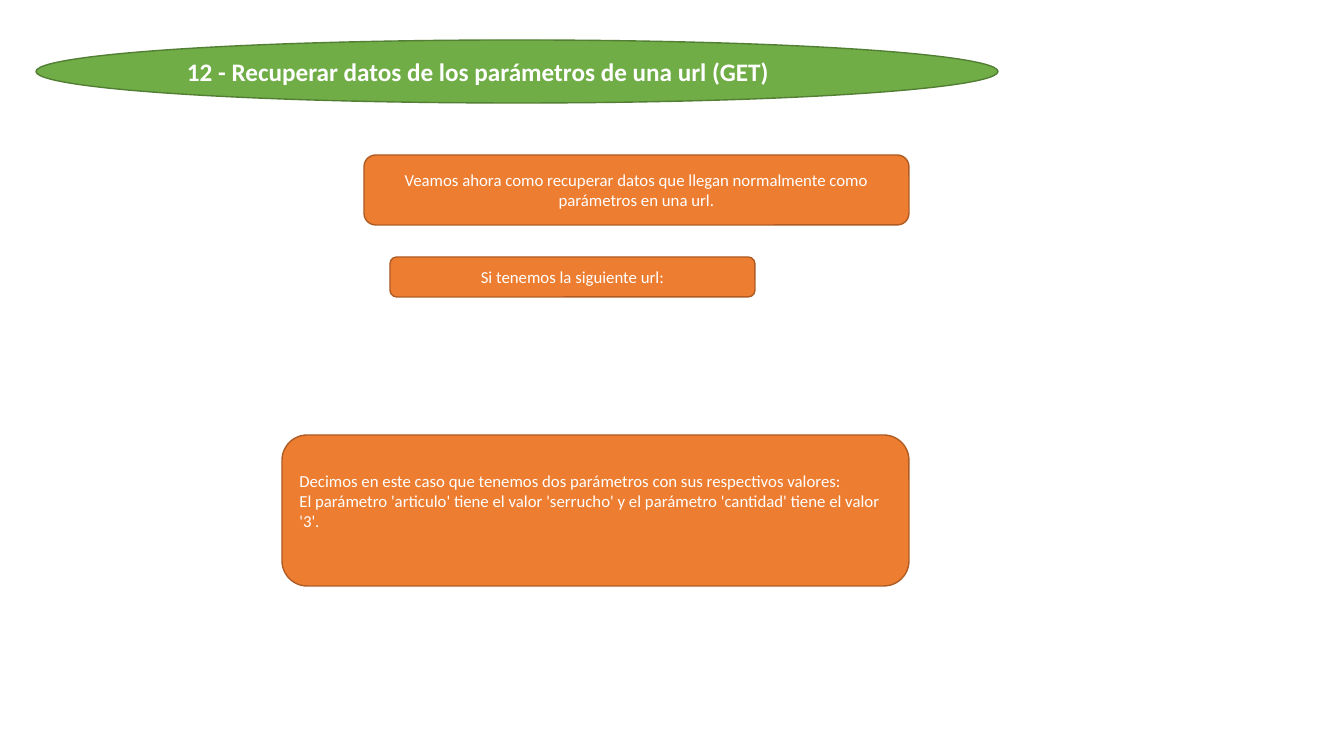
from pptx import Presentation
from pptx.dml.color import RGBColor
from pptx.enum.shapes import MSO_SHAPE
from pptx.enum.text import MSO_ANCHOR, MSO_AUTO_SIZE, PP_ALIGN
from pptx.util import Pt

OVAL, ROUNDED = MSO_SHAPE.OVAL, MSO_SHAPE.ROUNDED_RECTANGLE
MIDDLE, NO_FIT = MSO_ANCHOR.MIDDLE, MSO_AUTO_SIZE.NONE
LEFT, CENTER = PP_ALIGN.LEFT, PP_ALIGN.CENTER
EMU_PER_PX = 914400 / 100.8
TITLE_ONLY = 5

THEME = {
    "font": "Calibri",
    "text": RGBColor.from_string("FFFFFF"),
    "banner": (RGBColor.from_string("70AD47"), RGBColor.from_string("527F34")),
    "card": (RGBColor.from_string("ED7D31"), RGBColor.from_string("AF5C24")),
    "title_size": Pt(18),
    "body_size": Pt(12),
    "line_width": Pt(1),
}


def add_panel(slide, kind, box, colors):
    shape = slide.shapes.add_shape(kind, *[round(value * EMU_PER_PX) for value in box])
    shape.shadow.inherit = False
    shape.fill.solid()
    shape.fill.fore_color.rgb, shape.line.color.rgb = colors
    shape.line.width = THEME["line_width"]
    return shape


def write_text(shape, lines, size, bold, alignment, bottom_margin):
    frame = shape.text_frame
    frame.text = "\n".join(lines)
    frame_format = {
        "word_wrap": True,
        "auto_size": NO_FIT,
        "vertical_anchor": MIDDLE,
        "margin_left": round(10 * EMU_PER_PX),
        "margin_right": round(10 * EMU_PER_PX),
        "margin_top": round(5 * EMU_PER_PX),
        "margin_bottom": round(bottom_margin * EMU_PER_PX),
    }
    for name, value in frame_format.items():
        setattr(frame, name, value)
    for paragraph in frame.paragraphs:
        paragraph.alignment = alignment
        for name, value in {"name": THEME["font"], "size": size, "bold": bold}.items():
            setattr(paragraph.font, name, value)
        paragraph.font.color.rgb = THEME["text"]


presentation = Presentation()
presentation.slide_width = round(1344 * EMU_PER_PX)
presentation.slide_height = round(756 * EMU_PER_PX)
slide = presentation.slides.add_slide(presentation.slide_layouts[TITLE_ONLY])

add_panel(slide, OVAL, (36, 40, 962, 63), THEME["banner"])

title = slide.shapes.title
for name, value in {"left": 177, "top": 49, "width": 680, "height": 45}.items():
    setattr(title, name, round(value * EMU_PER_PX))
write_text(title, ["12 - Recuperar datos de los parámetros de una url (GET)"],
           THEME["title_size"], True, LEFT, 5)
slide.shapes._spTree.append(title._element)

CARDS = [
    ((364, 155, 545, 70), CENTER, 5,
     ["Veamos ahora como recuperar datos que llegan normalmente como parámetros en una url."]),
    ((390, 257, 365, 40), CENTER, 5, ["Si tenemos la siguiente url:"]),
    ((282, 435, 627, 151), LEFT, 25,
     ["Decimos en este caso que tenemos dos parámetros con sus respectivos valores:",
      "El parámetro 'articulo' tiene el valor 'serrucho' y el parámetro 'cantidad' tiene el valor '3'."]),
]
for box, alignment, bottom_margin, lines in CARDS:
    card = add_panel(slide, ROUNDED, box, THEME["card"])
    write_text(card, lines, THEME["body_size"], False, alignment, bottom_margin)

presentation.save("out.pptx")
